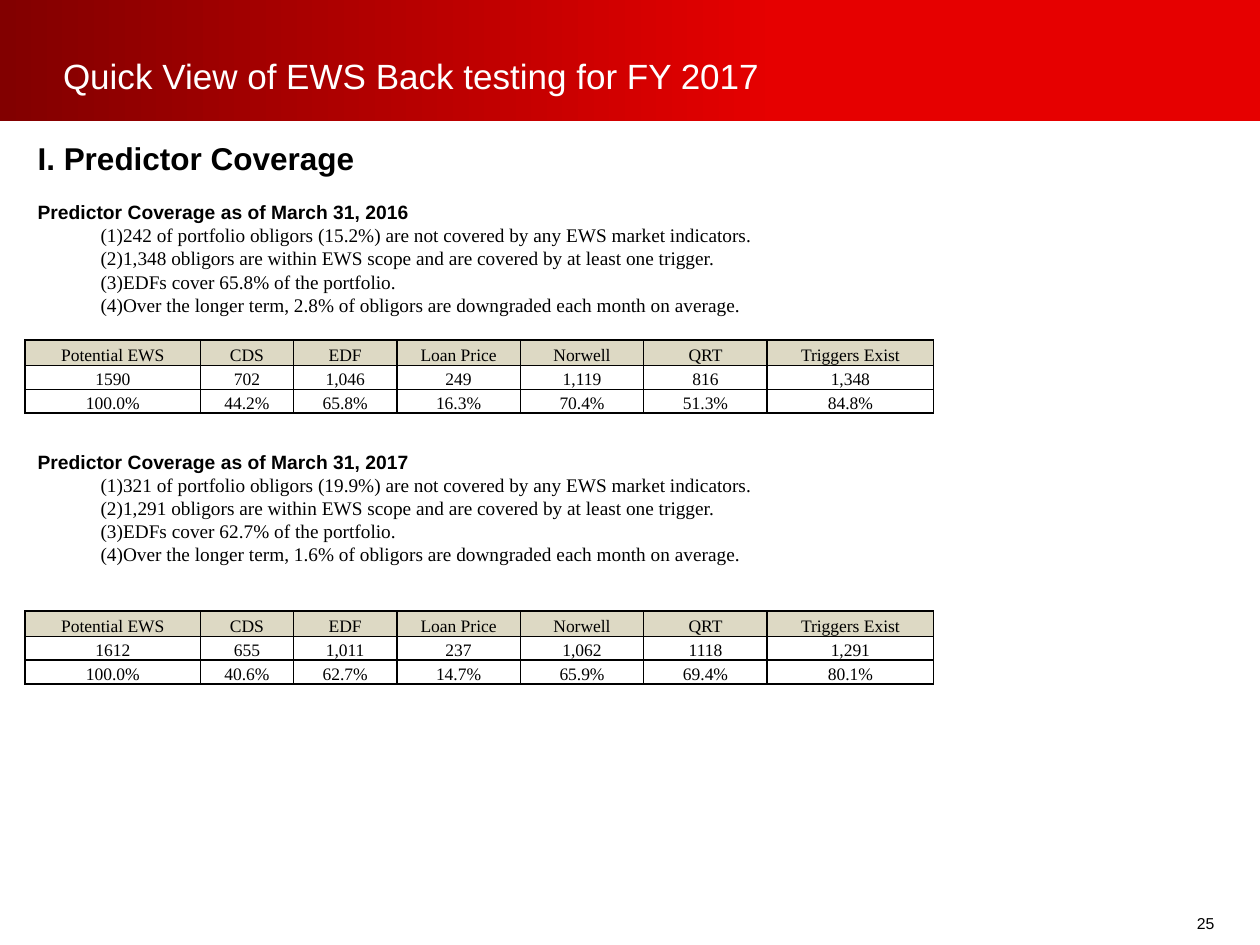
from lxml.etree import SubElement
from pptx import Presentation
from pptx.dml.color import RGBColor
from pptx.enum.shapes import MSO_SHAPE
from pptx.enum.text import MSO_ANCHOR, PP_ALIGN
from pptx.oxml.ns import qn
from pptx.util import Inches, Pt

BLACK = RGBColor(0, 0, 0)
WHITE = RGBColor(255, 255, 255)
DARK_RED = RGBColor(0x82, 0, 0)
RED = RGBColor(0xE6, 0, 0)
BEIGE = RGBColor(0xDD, 0xD9, 0xC4)

LEFT = 0.2
COLUMN_WIDTHS = [1.39, 0.74, 0.82, 0.98, 0.98, 0.98, 1.32]
ROW_HEIGHTS = [0.2, 0.19, 0.19]
HEADERS = ["Potential EWS", "CDS", "EDF", "Loan Price", "Norwell", "QRT", "Triggers Exist"]

# date, top of findings, top of table, findings, counts, shares
PERIODS = [
    ("March 31, 2016", 1.53, 2.7,
     ["242 of portfolio obligors (15.2%) are not covered by any EWS market indicators.",
      "1,348 obligors are within EWS scope and are covered by at least one trigger.",
      "EDFs cover 65.8% of the portfolio.",
      "Over the longer term, 2.8% of obligors are downgraded each month on average."],
     ["1590", "702", "1,046", "249", "1,119", "816", "1,348"],
     ["100.0%", "44.2%", "65.8%", "16.3%", "70.4%", "51.3%", "84.8%"]),
    ("March 31, 2017", 3.51, 4.85,
     ["321 of portfolio obligors (19.9%) are not covered by any EWS market indicators.",
      "1,291 obligors are within EWS scope and are covered by at least one trigger.",
      "EDFs cover 62.7% of the portfolio.",
      "Over the longer term, 1.6% of obligors are downgraded each month on average."],
     ["1612", "655", "1,011", "237", "1,062", "1118", "1,291"],
     ["100.0%", "40.6%", "62.7%", "14.7%", "65.9%", "69.4%", "80.1%"]),
]


class SlideBuilder:
    heading_font = "Arial"
    body_font = "Times New Roman"

    def __init__(self, slide):
        self.slide = slide

    def format_runs(self, paragraph, size, font, color=BLACK, bold=False):
        for run in paragraph.runs:
            run.font.size = Pt(size)
            run.font.name = font
            run.font.bold = bold
            run.font.color.rgb = color

    def clear_margins(self, frame):
        frame.margin_left = frame.margin_right = 0
        frame.margin_top = frame.margin_bottom = 0

    def band(self, height):
        """Draw the gradient header band behind everything else."""
        band = self.slide.shapes.add_shape(
            MSO_SHAPE.RECTANGLE, 0, 0, Inches(10), Inches(height))
        band.shadow.inherit = False
        band.line.fill.background()
        band.fill.gradient()
        band.fill.gradient_angle = 0
        for stop, color, position in zip(
                band.fill.gradient_stops, (DARK_RED, RED), (0, 0.62)):
            stop.color.rgb = color
            stop.position = position
        self.slide.shapes._spTree.insert(2, band._element)

    def title(self, text):
        title = self.slide.shapes.title
        title.left, title.top = Inches(0.5), Inches(0.43)
        title.width, title.height = Inches(9), Inches(0.42)
        frame = title.text_frame
        frame.text = text
        frame.vertical_anchor = MSO_ANCHOR.TOP
        self.clear_margins(frame)
        paragraph = frame.paragraphs[0]
        paragraph.alignment = PP_ALIGN.LEFT
        paragraph.line_spacing = Pt(24)
        self.format_runs(paragraph, 20, self.heading_font, WHITE)

    def text(self, text, left, top, width, height, size, bold=False):
        box = self.slide.shapes.add_textbox(
            Inches(left), Inches(top), Inches(width), Inches(height))
        frame = box.text_frame
        frame.word_wrap = False
        frame.text = text
        self.format_runs(frame.paragraphs[0], size, self.heading_font, bold=bold)
        return frame

    def findings(self, heading, items, top):
        """Add a bold heading followed by an automatically numbered list."""
        frame = self.text(heading, LEFT, top, 5.89, 1.04, 11, bold=True)
        frame.vertical_anchor = MSO_ANCHOR.MIDDLE
        for item in items:
            paragraph = frame.add_paragraph()
            paragraph.text = item
            paragraph.level = 1
            self.format_runs(paragraph, 11, self.body_font)
            properties = paragraph._p.get_or_add_pPr()
            properties.set("marL", str(Inches(0.5)))
            properties.set("indent", "0")
            SubElement(properties, qn("a:buAutoNum"), type="arabicParenBoth")

    def cell_borders(self, cell):
        properties = cell._tc.get_or_add_tcPr()
        for side in ("lnL", "lnR", "lnT", "lnB"):
            line = SubElement(properties, qn(f"a:{side}"), w=str(Pt(1)))
            fill = SubElement(line, qn("a:solidFill"))
            SubElement(fill, qn("a:srgbClr"), val=str(BLACK))

    def table(self, rows, top):
        table = self.slide.shapes.add_table(
            len(rows), len(COLUMN_WIDTHS), Inches(LEFT), Inches(top),
            Inches(sum(COLUMN_WIDTHS)), Inches(sum(ROW_HEIGHTS))).table
        table.first_row = table.horz_banding = False
        for column, width in zip(table.columns, COLUMN_WIDTHS):
            column.width = Inches(width)
        for row, height, values in zip(table.rows, ROW_HEIGHTS, rows):
            row.height = Inches(height)
            for cell, value in zip(row.cells, values):
                self.cell_borders(cell)
                if values is HEADERS:
                    cell.fill.solid()
                    cell.fill.fore_color.rgb = BEIGE
                else:
                    cell.fill.background()
                cell.margin_left = cell.margin_right = Inches(0.07)
                cell.margin_top = cell.margin_bottom = 0
                cell.vertical_anchor = MSO_ANCHOR.BOTTOM
                cell.text_frame.text = value
                paragraph = cell.text_frame.paragraphs[0]
                paragraph.alignment = PP_ALIGN.CENTER
                self.format_runs(paragraph, 10, self.body_font)


def main():
    presentation = Presentation()
    presentation.slide_width = Inches(10)
    presentation.slide_height = Inches(7.5)
    title_only = presentation.slide_layouts[5]
    builder = SlideBuilder(presentation.slides.add_slide(title_only))

    builder.band(0.96)
    builder.title("Quick View of EWS Back testing for FY 2017")
    section = builder.text("I. Predictor Coverage", LEFT, 1.05, 2.74, 0.4, 18, bold=True)
    section.vertical_anchor = MSO_ANCHOR.MIDDLE
    for date, findings_top, table_top, items, counts, shares in PERIODS:
        builder.findings(f"Predictor Coverage as of {date}", items, findings_top)
        builder.table([HEADERS, counts, shares], table_top)
    page_number = builder.text("25", 9.5, 7.25, 0.2, 0.2, 9)
    builder.clear_margins(page_number)

    presentation.save("out.pptx")


if __name__ == "__main__":
    main()
